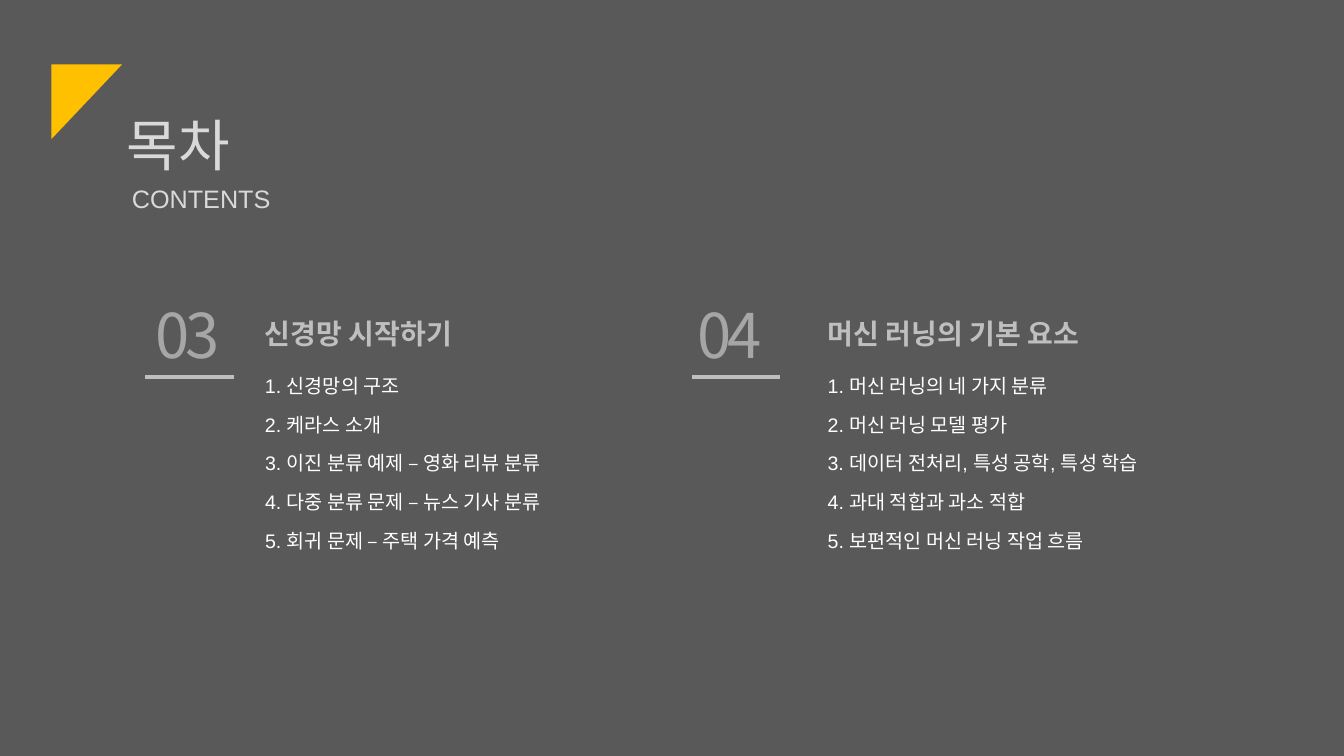
from dataclasses import dataclass

from lxml.etree import SubElement
from pptx import Presentation
from pptx.dml.color import RGBColor
from pptx.enum.shapes import MSO_CONNECTOR, MSO_SHAPE
from pptx.enum.text import MSO_AUTO_SIZE
from pptx.oxml.ns import qn
from pptx.slide import Slide
from pptx.util import Inches, Pt

SLIDE_WIDTH = Inches(13.33)
SLIDE_HEIGHT = Inches(7.5)
COLUMN = SLIDE_WIDTH / 133.3
ROW = SLIDE_HEIGHT / 75


@dataclass(frozen=True)
class TextStyle:
    size: float
    color: str
    font: str = "Arial"
    bold: bool = False
    spacing: int = 0


@dataclass(frozen=True)
class Theme:
    background: str = "595959"
    accent: str = "FFC000"
    rule: str = "BFBFBF"
    rule_width: float = 2.25
    korean_font: str = "Noto Sans CJK KR"
    title: TextStyle = TextStyle(40, "D9D9D9")
    subtitle: TextStyle = TextStyle(18, "D9D9D9")
    number: TextStyle = TextStyle(44, "A6A6A6", "Noto Sans CJK KR", spacing=-300)
    heading: TextStyle = TextStyle(20, "BFBFBF", bold=True)
    item: TextStyle = TextStyle(14, "FFFFFF")


@dataclass(frozen=True)
class Box:
    column: float
    row: float
    columns: float
    rows: float

    def emu(self) -> tuple[int, int, int, int]:
        return (round(self.column * COLUMN), round(self.row * ROW),
                round(self.columns * COLUMN), round(self.rows * ROW))


@dataclass(frozen=True)
class Item:
    text: str
    columns: float


@dataclass(frozen=True)
class Chapter:
    number: str
    heading: str
    number_column: float
    rule_column: float
    text_column: float
    heading_columns: float
    items: tuple[Item, ...]


THEME = Theme()
NUMBER_ROW = 28.95
HEADING_ROW = 30.9
RULE_ROW = 37.4
RULE_COLUMNS = 8.8
FIRST_ITEM_ROW = 36.6
ITEM_PITCH = 3.84

CHAPTERS = (
    Chapter("03", "신경망 시작하기", 14.4, 14.4, 25.3, 23.6, (
        Item("신경망의 구조", 23.6),
        Item("케라스 소개", 23.6),
        Item("이진 분류 예제 – 영화 리뷰 분류", 39.5),
        Item("다중 분류 문제 – 뉴스 기사 분류", 38.5),
        Item("회귀 문제 – 주택 가격 예측", 37.5),
    )),
    Chapter("04", "머신 러닝의 기본 요소", 68.2, 68.6, 81.1, 32.9, (
        Item("머신 러닝의 네 가지 분류", 30.8),
        Item("머신 러닝 모델 평가", 30.8),
        Item("데이터 전처리, 특성 공학, 특성 학습", 43.6),
        Item("과대 적합과 과소 적합", 28.9),
        Item("보편적인 머신 러닝 작업 흐름", 36.2),
    )),
)


def add_text(slide: Slide, text: str, box: Box, style: TextStyle) -> None:
    text_frame = slide.shapes.add_textbox(*box.emu()).text_frame
    text_frame.word_wrap = True
    text_frame.auto_size = MSO_AUTO_SIZE.SHAPE_TO_FIT_TEXT
    text_frame.text = text
    run = text_frame.paragraphs[0].runs[0]
    run.font.size = Pt(style.size)
    run.font.bold = style.bold
    run.font.name = style.font
    run.font.color.rgb = RGBColor.from_string(style.color)
    properties = run.font._element
    SubElement(properties, qn("a:ea")).set("typeface", THEME.korean_font)
    if style.spacing:
        properties.set("spc", str(style.spacing))


def add_rule(slide: Slide, column: float) -> None:
    left, top, width, _ = Box(column, RULE_ROW, RULE_COLUMNS, 0).emu()
    rule = slide.shapes.add_connector(
        MSO_CONNECTOR.STRAIGHT, left, top, left + width, top)
    rule.line.color.rgb = RGBColor.from_string(THEME.rule)
    rule.line.width = Pt(THEME.rule_width)
    SubElement(rule._element.spPr, qn("a:effectLst"))


def add_corner(slide: Slide) -> None:
    corner = slide.shapes.add_shape(
        MSO_SHAPE.RIGHT_TRIANGLE, *Box(4.9, 6.6, 7.4, 7).emu())
    corner.rotation = 90
    corner.shadow.inherit = False
    corner.fill.solid()
    corner.fill.fore_color.rgb = RGBColor.from_string(THEME.accent)
    corner.line.fill.background()


def add_chapter(slide: Slide, chapter: Chapter) -> None:
    add_text(slide, chapter.number,
             Box(chapter.number_column, NUMBER_ROW, 8.8, 8.4), THEME.number)
    add_text(slide, chapter.heading,
             Box(chapter.text_column, HEADING_ROW, chapter.heading_columns, 4.4),
             THEME.heading)
    add_rule(slide, chapter.rule_column)
    for index, item in enumerate(chapter.items):
        row = FIRST_ITEM_ROW + index * ITEM_PITCH
        add_text(slide, f"{index + 1}. {item.text}",
                 Box(chapter.text_column, row, item.columns, 3.4), THEME.item)


def main() -> None:
    presentation = Presentation()
    presentation.slide_width = SLIDE_WIDTH
    presentation.slide_height = SLIDE_HEIGHT
    slide = presentation.slides.add_slide(presentation.slide_layouts[6])
    slide.background.fill.solid()
    slide.background.fill.fore_color.rgb = RGBColor.from_string(THEME.background)
    add_corner(slide)
    add_text(slide, "목차", Box(11.6, 10.5, 17.9, 7.7), THEME.title)
    add_text(slide, "CONTENTS", Box(12.1, 17.7, 17.9, 4), THEME.subtitle)
    for chapter in CHAPTERS:
        add_chapter(slide, chapter)
    presentation.save("out.pptx")


if __name__ == "__main__":
    main()
